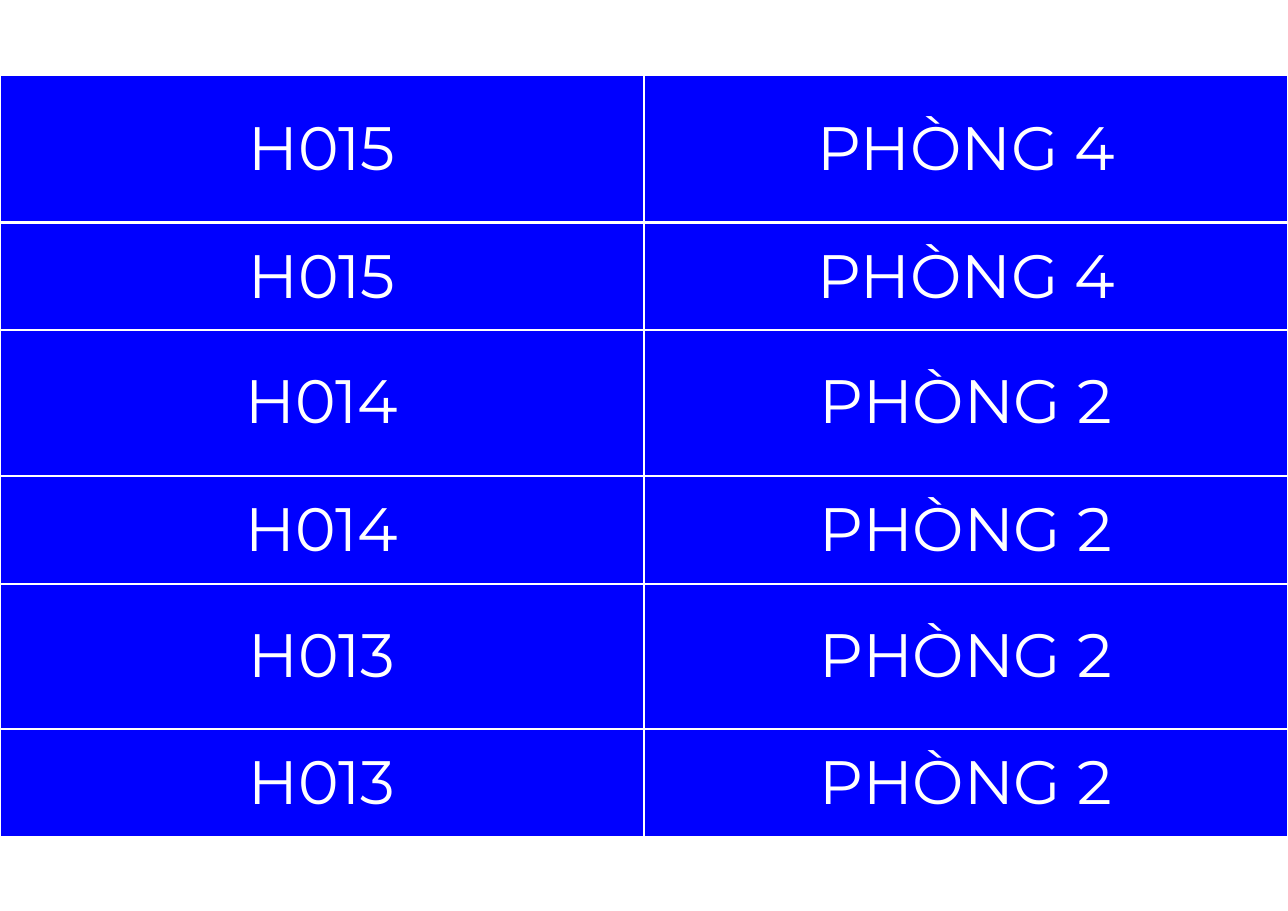
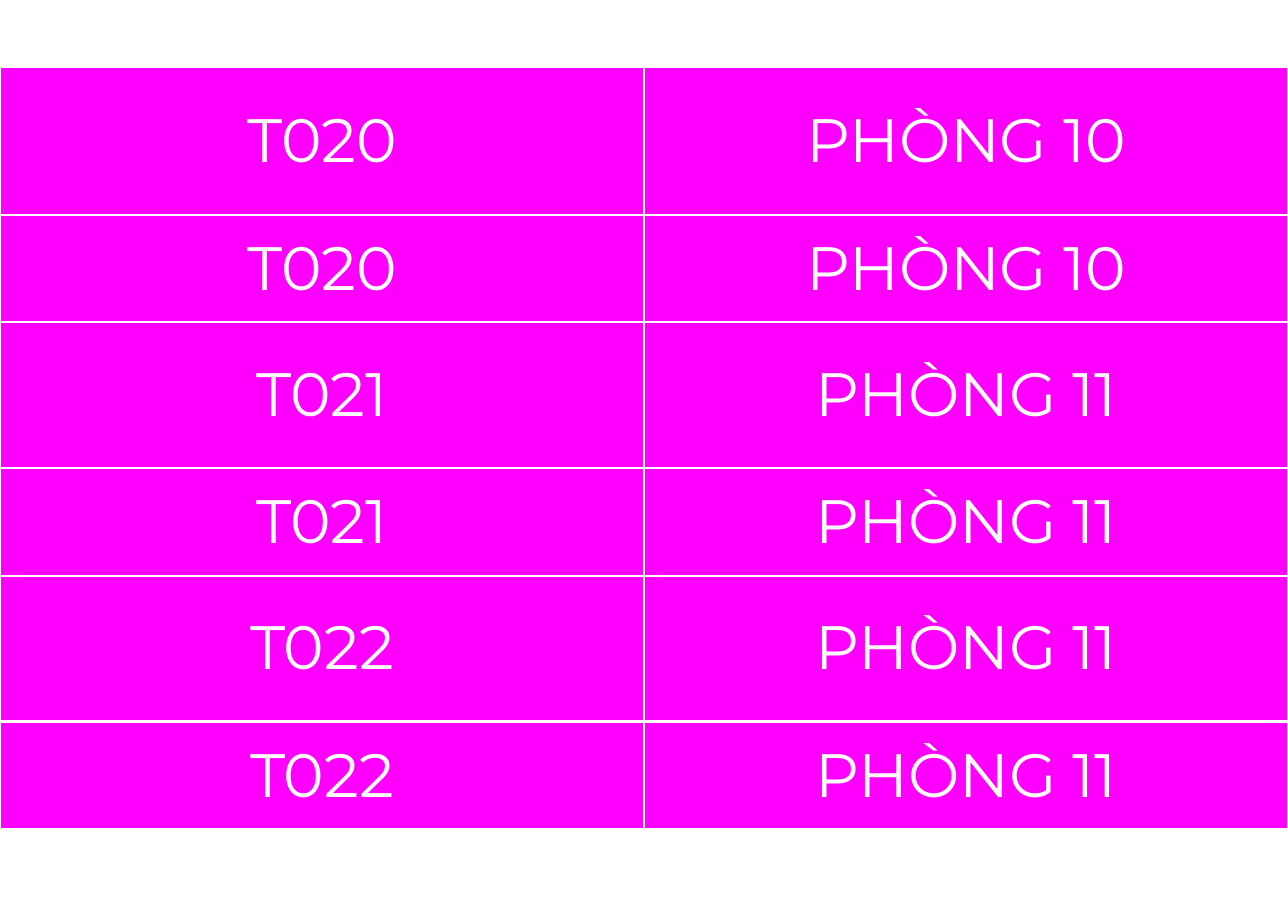
from lxml import etree
from pptx import Presentation
from pptx.dml.color import RGBColor
from pptx.enum.text import MSO_ANCHOR, PP_ALIGN
from pptx.oxml.ns import qn
from pptx.util import Inches, Pt

MIDDLE = MSO_ANCHOR.MIDDLE
CENTER = PP_ALIGN.CENTER

SLIDE_WIDTH, SLIDE_HEIGHT = 11.69, 8.27
COLUMNS = 2
BLANK_LAYOUT = 6
TALL_ROW, SHORT_ROW = 1.34, 0.94
GROUP_STEP = 2.3

SIGNS = [
    ("0000FF", 0.68, [("H015", "PHÒNG 4"), ("H014", "PHÒNG 2"), ("H013", "PHÒNG 2")]),
    ("FF00FF", 0.61, [("T020", "PHÒNG 10"), ("T021", "PHÒNG 11"), ("T022", "PHÒNG 11")]),
]


def color(hex_code):
    return RGBColor.from_string(hex_code)


class SignDeck:
    font_name = "Montserrat"
    font_size = Pt(40)
    light = "FFFFFF"
    border_width = Pt(1.5)
    side_margin = Inches(0.12)
    end_margin = Inches(0.15)

    def __init__(self):
        self.deck = Presentation()
        self.deck.slide_width = Inches(SLIDE_WIDTH)
        self.deck.slide_height = Inches(SLIDE_HEIGHT)
        self.page = None

    def add_page(self):
        self.page = self.deck.slides.add_slide(self.deck.slide_layouts[BLANK_LAYOUT])
        fill = self.page.background.fill
        fill.solid()
        fill.fore_color.rgb = color(self.light)

    def add_row(self, top, height, texts, fill):
        frame = self.page.shapes.add_table(
            1, COLUMNS, 0, Inches(top), self.deck.slide_width, Inches(height))
        table = frame.table
        table.first_row = False
        table.horz_banding = False
        for cell, text in zip(table.iter_cells(), texts):
            self.style_cell(cell, fill)
            self.add_text(cell, text)

    def style_cell(self, cell, fill):
        cell.fill.solid()
        cell.fill.fore_color.rgb = color(fill)
        cell.vertical_anchor = MIDDLE
        cell.margin_left = cell.margin_right = self.side_margin
        cell.margin_top = cell.margin_bottom = self.end_margin
        properties = cell._tc.get_or_add_tcPr()
        for index, side in enumerate(("a:lnL", "a:lnR", "a:lnT", "a:lnB")):
            line = etree.Element(qn(side), w=str(self.border_width))
            paint = etree.SubElement(line, qn("a:solidFill"))
            etree.SubElement(paint, qn("a:srgbClr"), val=self.light)
            properties.insert(index, line)

    def add_text(self, cell, text):
        para = cell.text_frame.paragraphs[0]
        para.alignment = CENTER
        span = para.add_run()
        span.text = text
        span.font.name = self.font_name
        span.font.size = self.font_size
        span.font.color.rgb = color(self.light)


def main():
    signs = SignDeck()
    for fill, first_top, groups in SIGNS:
        signs.add_page()
        for index, texts in reversed(list(enumerate(groups))):
            top = first_top + index * GROUP_STEP
            signs.add_row(top, TALL_ROW, texts, fill)
            signs.add_row(top + TALL_ROW, SHORT_ROW, texts, fill)
    signs.deck.save("out.pptx")


if __name__ == "__main__":
    main()
